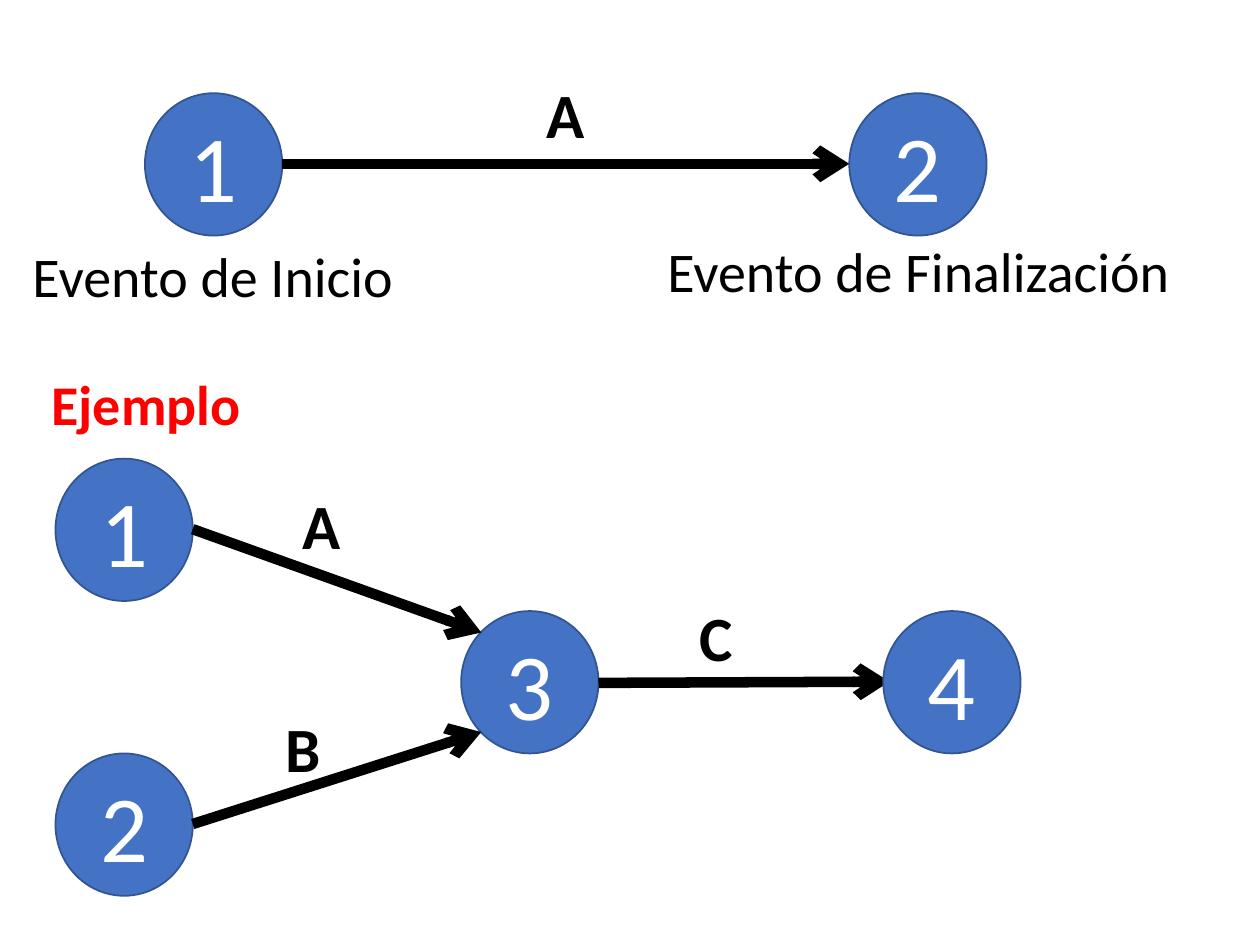
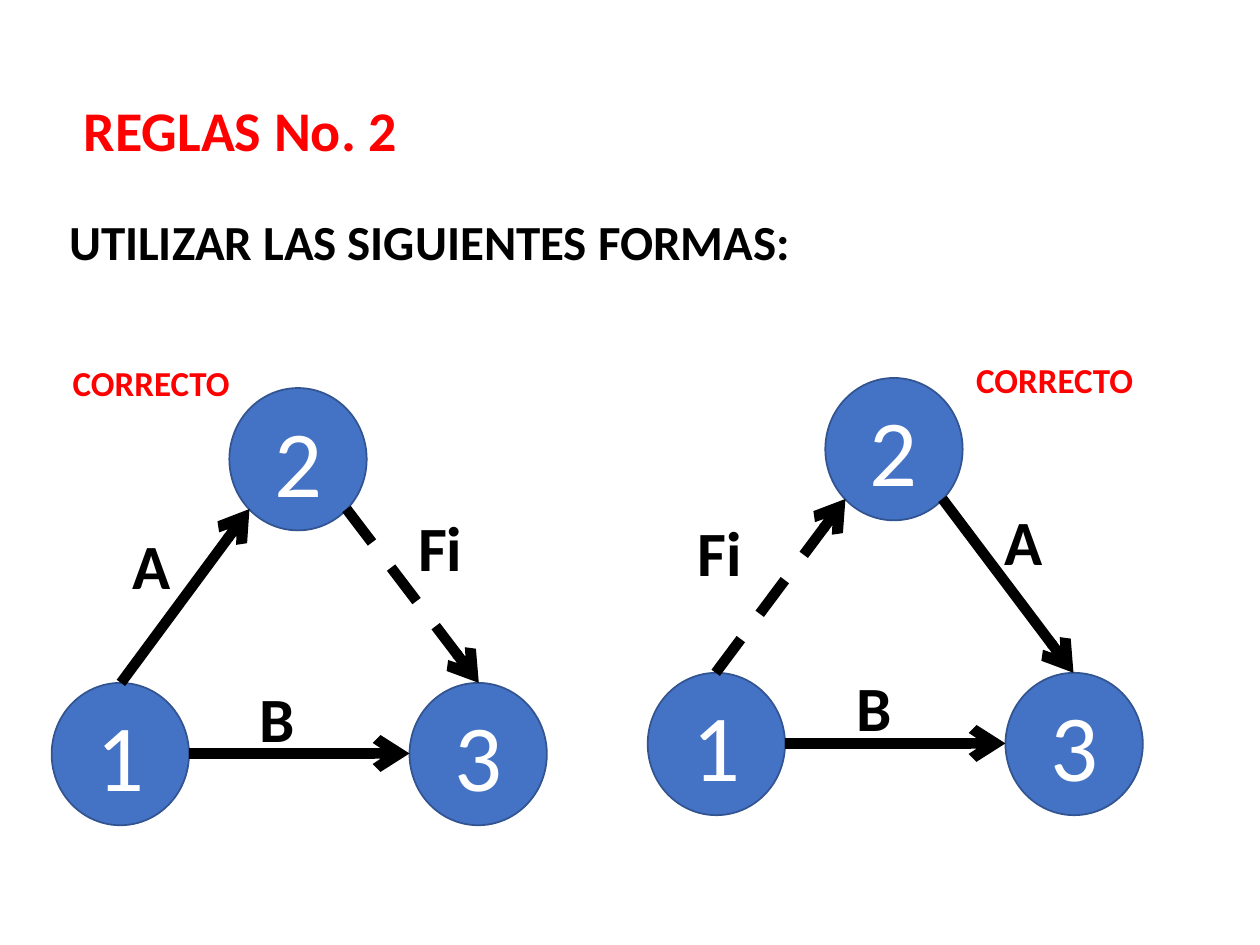
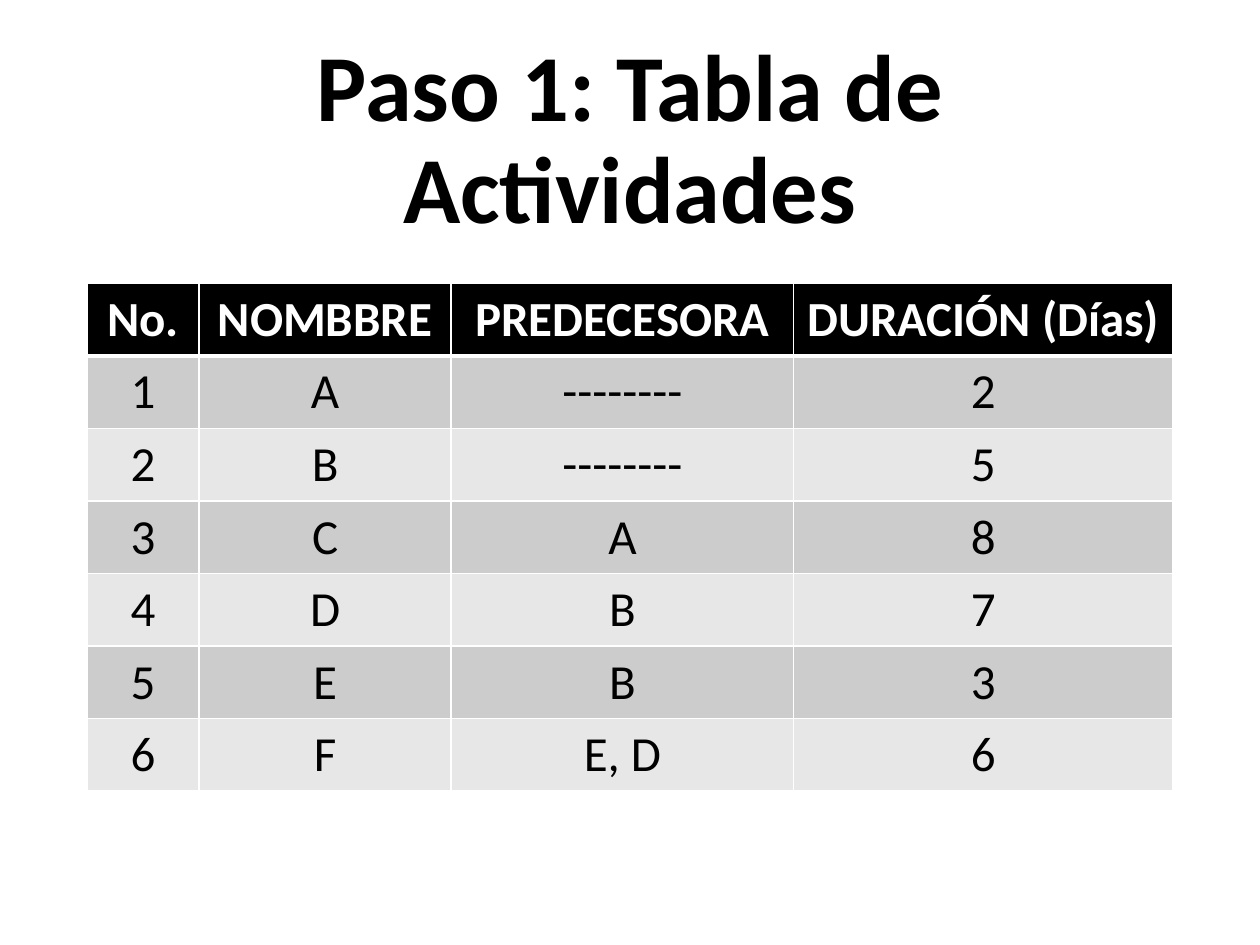
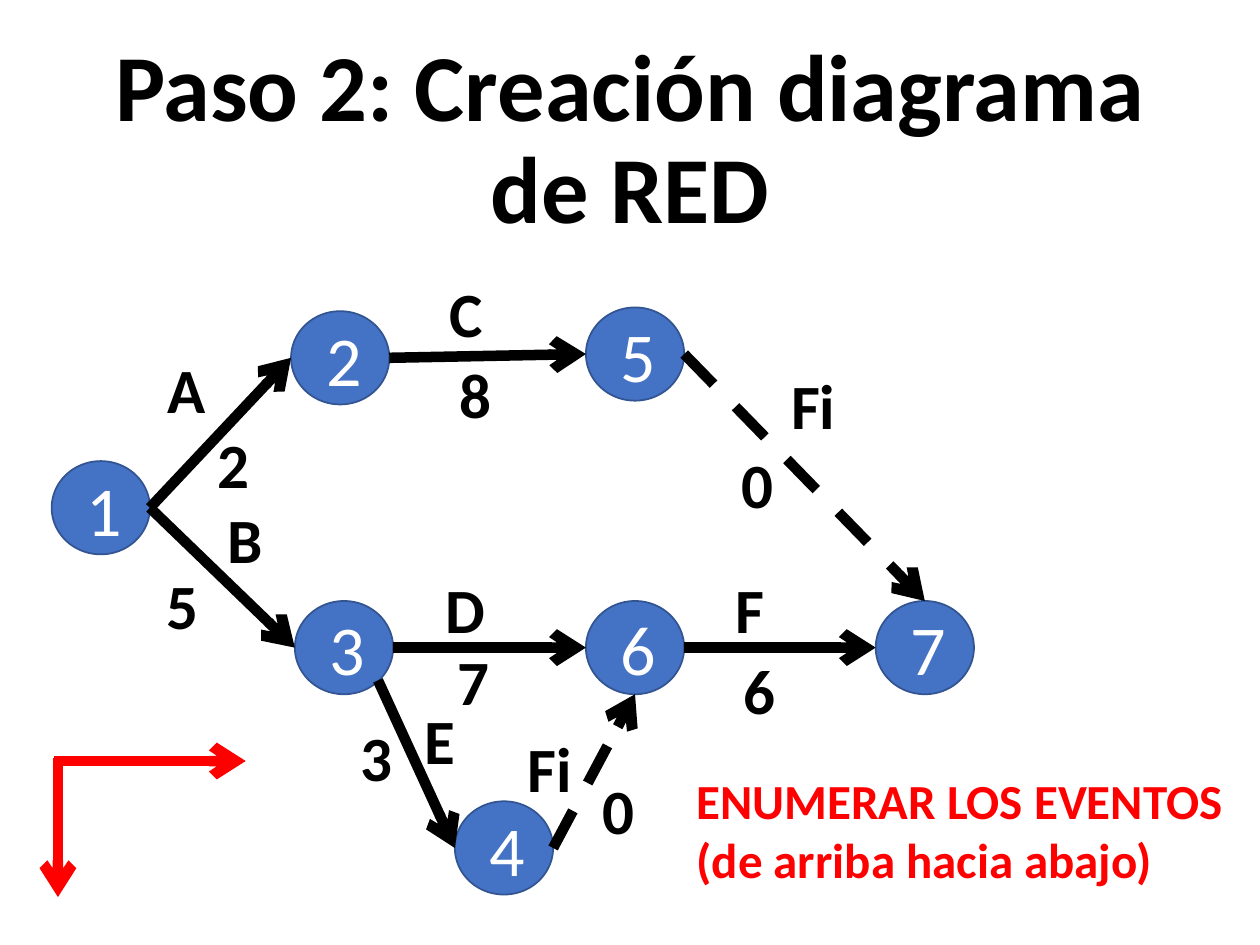
from lxml import etree
from pptx import Presentation
from pptx.dml.color import RGBColor
from pptx.enum.dml import MSO_LINE
from pptx.enum.shapes import MSO_CONNECTOR, MSO_SHAPE
from pptx.enum.text import MSO_ANCHOR, MSO_AUTO_SIZE, PP_ALIGN
from pptx.oxml.ns import qn
from pptx.util import Pt

PX = 9144  # EMU per px, 100 px to the inch

BLACK = RGBColor(0x00, 0x00, 0x00)
WHITE = RGBColor(0xFF, 0xFF, 0xFF)
RED = RGBColor(0xFF, 0x00, 0x00)
NODE_BLUE = RGBColor(0x44, 0x72, 0xC4)
NODE_EDGE = RGBColor(0x32, 0x54, 0x91)
BAND_DARK = RGBColor(0xCC, 0xCC, 0xCC)
BAND_LIGHT = RGBColor(0xE7, 0xE7, 0xE7)

FONT = "Calibri"
LEFT, CENTER, JUSTIFY = PP_ALIGN.LEFT, PP_ALIGN.CENTER, PP_ALIGN.JUSTIFY
MIDDLE = MSO_ANCHOR.MIDDLE
GROW, FIXED = MSO_AUTO_SIZE.SHAPE_TO_FIT_TEXT, MSO_AUTO_SIZE.NONE
ELLIPSE, STRAIGHT = MSO_SHAPE.OVAL, MSO_CONNECTOR.STRAIGHT
DASH = MSO_LINE.DASH
TITLE_ONLY, BLANK = 5, 6

BIG_NODE, SMALL_NODE = (109, 113), (78, 74)
NEAR, FAR = 0.15, 0.85  # where the diagonals of a box meet its ellipse
SITES = {
    "top": (0.5, 0), "bottom": (0.5, 1), "left": (0, 0.5), "right": (1, 0.5),
    "top_left": (NEAR, NEAR), "bottom_left": (NEAR, FAR),
    "bottom_right": (FAR, FAR),
}


def px(*lengths):
    return [round(length * PX) for length in lengths]


def set_values(target, values):
    for attribute, value in values.items():
        setattr(target, attribute, value)


class Deck:
    """Holds the shared style and the slide being drawn."""

    def __init__(self):
        self.presentation = Presentation()
        width, height = px(1000, 750)
        set_values(self.presentation, {"slide_width": width, "slide_height": height})
        self.slide = None

    def new_slide(self, title=None):
        layout = TITLE_ONLY if title else BLANK
        self.slide = self.presentation.slides.add_slide(
            self.presentation.slide_layouts[layout])
        if title:
            self.title(title)

    def title(self, text):
        heading = self.slide.shapes.title
        box = px(69, 40, 862, 145)
        set_values(heading, dict(zip(("left", "top", "width", "height"), box)))
        set_values(heading.text_frame, {
            "auto_size": FIXED, "word_wrap": True, "vertical_anchor": MIDDLE})
        self.put_text(heading.text_frame, text, 54, bold=True, align=CENTER)
        heading.text_frame.paragraphs[0].line_spacing = 0.9

    def put_text(self, frame, text, size, color=BLACK, bold=False, align=LEFT):
        paragraph = frame.paragraphs[0]
        paragraph.alignment = align
        run = paragraph.add_run()
        run.text = text
        set_values(run.font, {"name": FONT, "size": Pt(size), "bold": bold})
        run.font.color.rgb = color

    def text(self, box, text, size, wrap=True, **style):
        frame = self.slide.shapes.add_textbox(*px(*box)).text_frame
        set_values(frame, {"word_wrap": wrap, "auto_size": GROW})
        self.put_text(frame, text, size, **style)

    def labels(self, width, places, wrap=True):
        """Bold activity names or durations, one for each (text, left, top)."""
        for text, left, top in places:
            self.text((left, top, width, 71), text, 36, wrap, bold=True)

    def node(self, left, top, number=None, size=BIG_NODE):
        """Draws an event and returns its connection points by site name."""
        width, height = size
        event = self.slide.shapes.add_shape(ELLIPSE, *px(left, top, width, height))
        event.shadow.inherit = False
        event.fill.solid()
        event.fill.fore_color.rgb = NODE_BLUE
        event.line.color.rgb = NODE_EDGE
        event.line.width = Pt(1)
        if number:
            event.text_frame.vertical_anchor = MIDDLE
            self.put_text(event.text_frame, number, 54, WHITE, align=CENTER)
        return {site: (round(left + width * x), round(top + height * y))
                for site, (x, y) in SITES.items()}

    def arrow(self, start, end, color=BLACK, dash=None):
        connector = self.slide.shapes.add_connector(STRAIGHT, *px(*start, *end))
        connector.line.color.rgb = color
        set_values(connector.line, {"width": Pt(6), "dash_style": dash})
        properties = connector._element.spPr
        etree.SubElement(properties.find(qn("a:ln")), qn("a:tailEnd"), type="arrow")
        etree.SubElement(properties, qn("a:effectLst"))

    def table(self, box, widths, rows):
        table = self.slide.shapes.add_table(len(rows), len(widths), *px(*box)).table
        for column, width in zip(table.columns, px(*widths)):
            column.width = width
        for row, values in enumerate(rows):
            header = row == 0
            band = BLACK if header else BAND_DARK if row % 2 else BAND_LIGHT
            for column, value in enumerate(values):
                cell = table.cell(row, column)
                self.borders(cell, top=3 if row == 1 else 1, bottom=3 if header else 1)
                cell.fill.solid()
                cell.fill.fore_color.rgb = band
                self.put_text(cell.text_frame, value, 28, WHITE if header else BLACK,
                              bold=header, align=CENTER)

    def borders(self, cell, top, bottom):
        properties = cell._tc.get_or_add_tcPr()
        for side, width in (("L", 1), ("R", 1), ("T", top), ("B", bottom)):
            border = etree.SubElement(properties, qn(f"a:ln{side}"), w=str(Pt(width)))
            fill = etree.SubElement(border, qn("a:solidFill"))
            etree.SubElement(fill, qn("a:srgbClr"), val=str(WHITE))


def events_slide(deck):
    deck.new_slide()
    start = deck.node(115, 74, "1")
    finish = deck.node(674, 74, "2")
    deck.arrow(start["right"], finish["left"])
    deck.text((1, 187, 336, 64), "Evento de Inicio", 32, align=CENTER)
    deck.text((514, 183, 430, 64), "Evento de Finalización", 32, align=CENTER)
    deck.text((8, 288, 216, 64), "Ejemplo", 32, color=RED, bold=True, align=CENTER)

    first = deck.node(44, 364, "1")
    second = deck.node(44, 598, "2")
    third = deck.node(366, 485, "3")
    deck.arrow(first["right"], third["top_left"])
    deck.arrow(second["right"], third["bottom_left"])
    deck.arrow(third["right"], (706, 541))
    deck.node(701, 485, "4")
    deck.labels(50, [("A", 424, 55), ("A", 230, 381), ("B", 217, 558), ("C", 545, 470)],
                wrap=False)


def triangle(deck, left, top, rising_dash=None, falling_dash=None):
    """Three events; left and top place event 1."""
    peak = deck.node(left + 141, top - 234, "2")
    start = deck.node(left, top, "1")
    finish = deck.node(left + 284, top, "3")
    deck.arrow(start["top"], peak["bottom_left"], dash=rising_dash)
    deck.arrow(start["right"], finish["left"])
    deck.arrow(peak["bottom_right"], finish["top"], dash=falling_dash)


def rule_slide(deck):
    deck.new_slide()
    deck.text((41, 71, 300, 64), "REGLAS No. 2", 32, color=RED, bold=True, align=CENTER)
    deck.text((45, 163, 901, 57), "UTILIZAR LAS SIGUIENTES FORMAS:", 28,
              bold=True, align=JUSTIFY)
    triangle(deck, 41, 542, falling_dash=DASH)
    triangle(deck, 514, 534, rising_dash=DASH)
    deck.labels(48, [("A", 95, 413), ("B", 196, 534), ("B", 670, 526), ("A", 787, 394)])
    deck.labels(84, [("Fi", 322, 399), ("Fi", 544, 403)])
    for left, top in ((47, 282), (764, 280)):
        deck.text((left, top, 146, 44), "CORRECTO", 20, wrap=False,
                  color=RED, bold=True, align=CENTER)


def activities_slide(deck):
    deck.new_slide("Paso 1: Tabla de Actividades")
    deck.table((69, 225, 862, 397), (89, 200, 272, 301), [
        ("No.", "NOMBBRE", "PREDECESORA", "DURACIÓN (Días)"),
        ("1", "A", "--------", "2"),
        ("2", "B", "--------", "5"),
        ("3", "C", "A", "8"),
        ("4", "D", "B", "7"),
        ("5", "E", "B", "3"),
        ("6", "F", "E, D", "6"),
    ])


def network_slide(deck):
    deck.new_slide("Paso 2: Creación diagrama de RED")
    places = {1: (41, 366), 2: (231, 247), 3: (234, 477), 4: (361, 636),
              5: (465, 244), 6: (465, 477), 7: (695, 477)}
    events = {number: deck.node(*place, size=SMALL_NODE)
              for number, place in places.items()}
    activities = [
        (1, "right", 2, "left", None), (1, "right", 3, "left", None),
        (2, "right", 5, "left", None), (3, "right", 6, "left", None),
        (3, "bottom_right", 4, "left", None), (6, "right", 7, "left", None),
        (4, "right", 6, "bottom", DASH), (5, "right", 7, "top", DASH),
    ]
    for origin, exit_site, target, entry_site, dash in activities:
        deck.arrow(events[origin][exit_site], events[target][entry_site], dash=dash)
    for number, (left, top) in places.items():
        deck.text((left + 18, top - 1, 49, 77), str(number), 40, wrap=False, color=WHITE)

    names = [("A", 123, 273), ("B", 171, 392), ("C", 347, 213), ("D", 344, 448),
             ("E", 327, 552), ("F", 574, 448)]
    durations = [("2", 163, 333), ("5", 122, 445), ("8", 355, 277), ("7", 353, 505),
                 ("3", 276, 565), ("6", 580, 512), ("0", 579, 349), ("0", 468, 607)]
    deck.labels(35, names + durations)
    deck.labels(84, [("Fi", 409, 574), ("Fi", 618, 286)])

    deck.text((543, 607, 451, 104), "ENUMERAR LOS EVENTOS (de arriba hacia abajo)", 28,
              color=RED, bold=True)
    deck.arrow((43, 604), (195, 604), RED)
    deck.arrow((46, 602), (46, 712), RED)


def main():
    deck = Deck()
    for build in (events_slide, rule_slide, activities_slide, network_slide):
        build(deck)
    deck.presentation.save("out.pptx")


if __name__ == "__main__":
    main()
